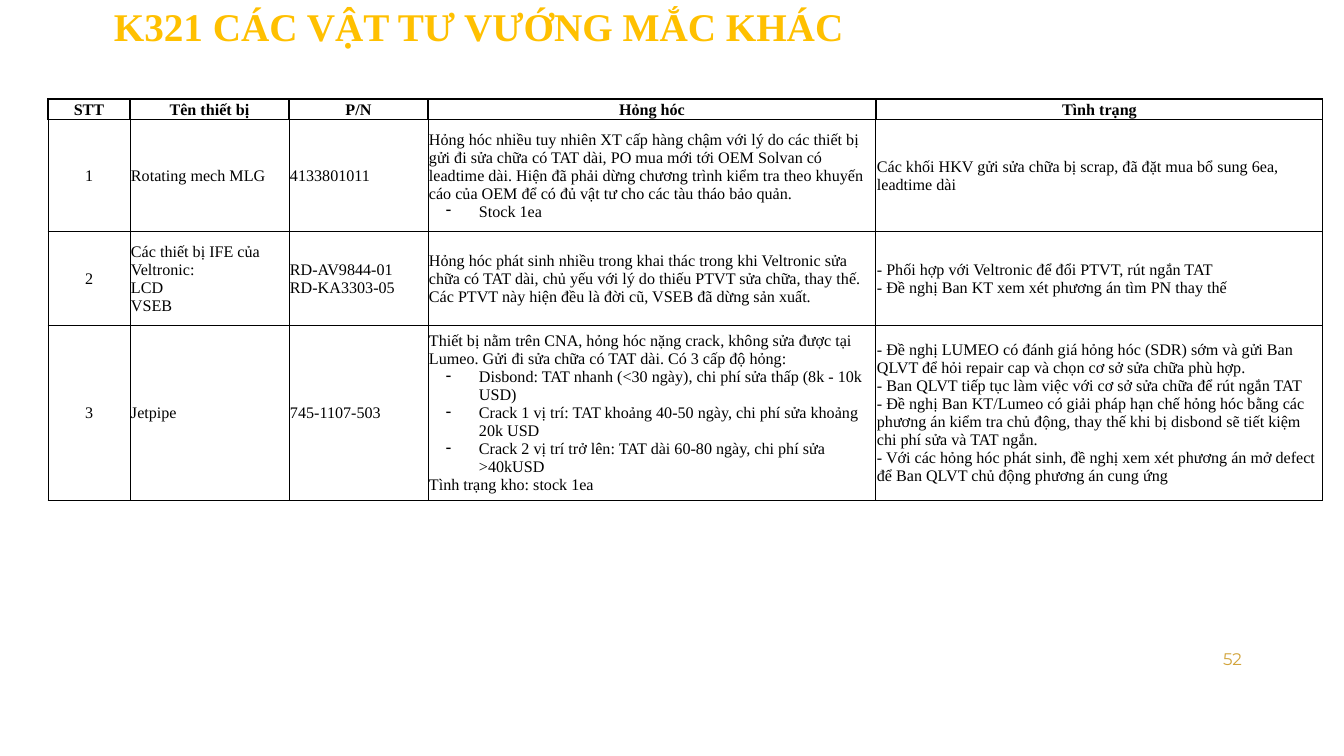
"""Build the slide on other troubled parts of the K321 fleet."""
from lxml.etree import SubElement
from pptx import Presentation
from pptx.dml.color import RGBColor
from pptx.enum.text import MSO_ANCHOR, PP_ALIGN
from pptx.oxml.ns import qn
from pptx.util import Emu, Pt

BLACK = RGBColor(0, 0, 0)
GOLD = RGBColor(0xFF, 0xC0, 0x00)
OCHRE = RGBColor(0xD2, 0xA4, 0x3B)
SERIF = "Times New Roman"
SIZE = 11.5


def px(num):
    return Emu(round(num * 914400 / 100.8))


def write(para, text, size, color, face=SERIF, bold=False):
    run = para.add_run()
    run.text = text
    font = run.font
    font.size, font.name, font.bold = Pt(size), face, bold
    font.color.rgb = color


deck = Presentation()
deck.slide_width, deck.slide_height = px(1344), px(756)
slide = deck.slides.add_slide(deck.slide_layouts[6])

labels = [
    ((104, -11, 1175, 79), "K321 CÁC VẬT TƯ VƯỚNG MẮC KHÁC", 28, GOLD, SERIF, True, PP_ALIGN.LEFT),
    ((950, 640, 302, 40), "52", 12, OCHRE, "Montserrat", False, PP_ALIGN.RIGHT),
]
for place, text, size, color, face, bold, align in labels:
    frame = slide.shapes.add_textbox(*map(px, place)).text_frame
    frame.word_wrap = True
    frame.vertical_anchor = MSO_ANCHOR.MIDDLE
    para = frame.paragraphs[0]
    para.alignment = align
    para.line_spacing = 0.9
    write(para, text, size, color, face, bold)

rows = [
    [[]] * 5,
    [["STT"], ["Tên thiết bị"], ["P/N"], ["Hỏng hóc"], ["Tình trạng"]],
    [
        ["1"],
        ["Rotating mech MLG"],
        ["4133801011"],
        ["Hỏng hóc nhiều tuy nhiên XT cấp hàng chậm với lý do các thiết bị gửi đi sửa chữa "
         "có TAT dài, PO mua mới tới OEM Solvan có leadtime dài. Hiện đã phải dừng chương "
         "trình kiểm tra theo khuyến cáo của OEM để có đủ vật tư cho các tàu tháo bảo quản.",
         "* Stock 1ea"],
        ["Các khối HKV gửi sửa chữa bị scrap, đã đặt mua bổ sung 6ea, leadtime dài"],
    ],
    [
        ["2"],
        ["Các thiết bị IFE của Veltronic:", "LCD", "VSEB"],
        ["RD-AV9844-01", "RD-KA3303-05"],
        ["Hỏng hóc phát sinh nhiều trong khai thác trong khi Veltronic sửa chữa có TAT dài, "
         "chủ yếu với lý do thiếu PTVT sửa chữa, thay thế. Các PTVT này hiện đều là đời cũ, "
         "VSEB đã dừng sản xuất."],
        ["- Phối hợp với Veltronic để đổi PTVT, rút ngắn TAT",
         "- Đề nghị Ban KT xem xét phương án tìm PN thay thế"],
    ],
    [
        ["3"],
        ["Jetpipe"],
        ["745-1107-503"],
        ["Thiết bị nằm trên CNA, hỏng hóc nặng crack, không sửa được tại Lumeo. "
         "Gửi đi sửa chữa có TAT dài. Có 3 cấp độ hỏng:",
         "* Disbond: TAT nhanh (<30 ngày), chi phí sửa thấp (8k - 10k USD)",
         "* Crack 1 vị trí: TAT khoảng 40-50 ngày, chi phí sửa khoảng 20k USD",
         "* Crack 2 vị trí trở lên: TAT dài 60-80 ngày, chi phí sửa >40kUSD",
         "Tình trạng kho: stock 1ea"],
        ["- Đề nghị LUMEO có đánh giá hỏng hóc (SDR) sớm và gửi Ban QLVT để hỏi repair cap "
         "và chọn cơ sở sửa chữa phù hợp.",
         "- Ban QLVT tiếp tục làm việc với cơ sở sửa chữa để rút ngắn TAT",
         "- Đề nghị Ban KT/Lumeo có giải pháp hạn chế hỏng hóc bằng các phương án kiểm tra "
         "chủ động, thay thế khi bị disbond sẽ tiết kiệm chi phí sửa và TAT ngắn.",
         "- Với các hỏng hóc phát sinh, đề nghị xem xét phương án mở defect để Ban QLVT "
         "chủ động phương án cung ứng"],
    ],
]
widths = [82, 159, 139, 448, 447]
heights = [22, 19, 112, 94, 162]

table = slide.shapes.add_table(
    len(rows), len(widths), px(48), px(77), px(sum(widths)), px(sum(heights))
).table
table.first_row = table.horz_banding = False
for col, width in zip(table.columns, widths):
    col.width = px(width)
for row, height in zip(table.rows, heights):
    row.height = px(height)

for r, row in enumerate(rows):
    for c, lines in enumerate(row):
        cell = table.cell(r, c)
        cell.margin_left = cell.margin_right = cell.margin_top = px(1)
        cell.margin_bottom = 0
        cell.vertical_anchor = MSO_ANCHOR.MIDDLE
        frame = cell.text_frame
        if not lines:
            SubElement(frame.paragraphs[0]._p, qn("a:endParaRPr"), sz=str(int(SIZE * 100)))
        for n, line in enumerate(lines):
            para = frame.add_paragraph() if n else frame.paragraphs[0]
            para.alignment = PP_ALIGN.CENTER if r == 1 or c == 0 else PP_ALIGN.LEFT
            if line.startswith("* "):
                props = para._p.get_or_add_pPr()
                props.set("marL", str(px(50)))
                props.set("indent", str(px(-33)))
                tint = SubElement(props, qn("a:buClr"))
                SubElement(tint, qn("a:srgbClr"), val=str(BLACK))
                SubElement(props, qn("a:buChar"), char="-")
            write(para, line.removeprefix("* "), SIZE, BLACK, bold=r == 1)

        props = cell._tc.get_or_add_tcPr()
        for side in "LRTB":
            thick = 1 if r < 2 or (r == 2 and side == "T") else 0.75
            edge = SubElement(props, qn(f"a:ln{side}"), w=str(Pt(thick)))
            if r == 0 and side != "B":
                SubElement(edge, qn("a:noFill"))
            else:
                ink = SubElement(edge, qn("a:solidFill"))
                SubElement(ink, qn("a:srgbClr"), val=str(BLACK))
        cell.fill.background()

table.cell(0, 0).merge(table.cell(0, len(widths) - 1))

deck.save("out.pptx")
